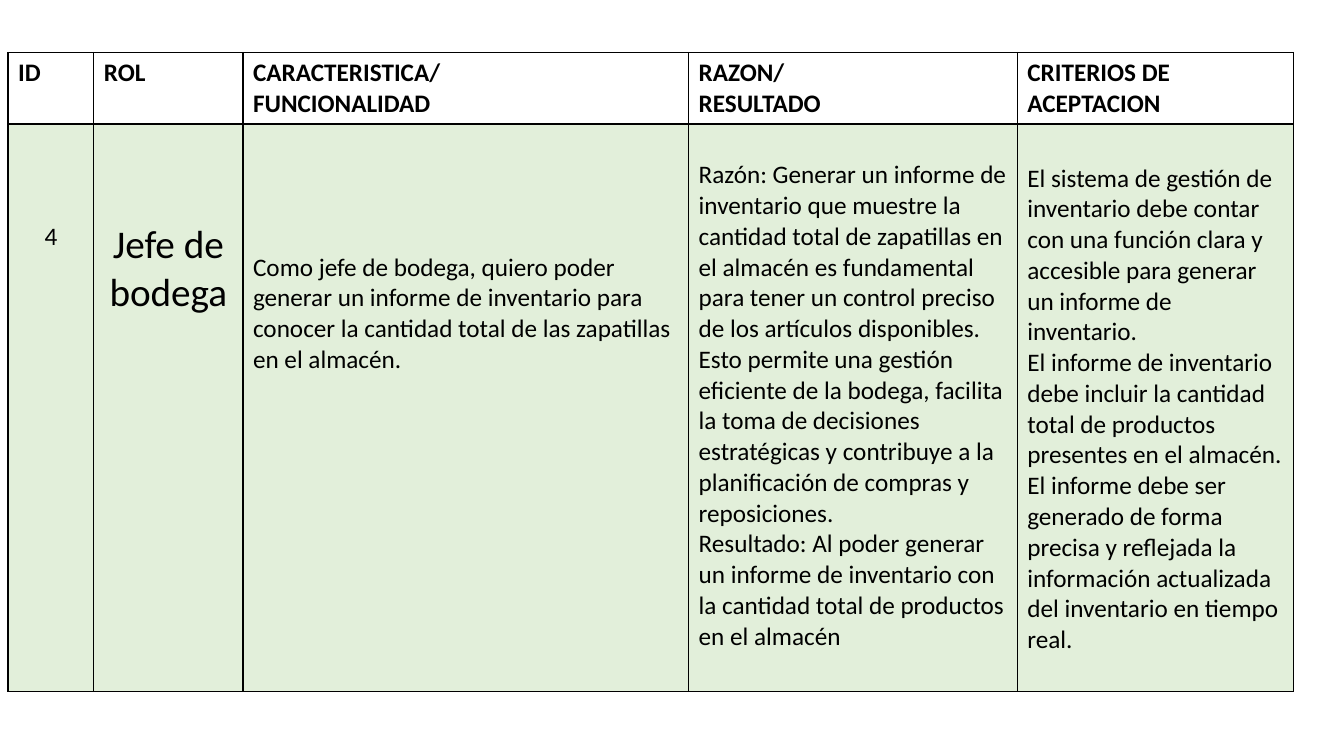
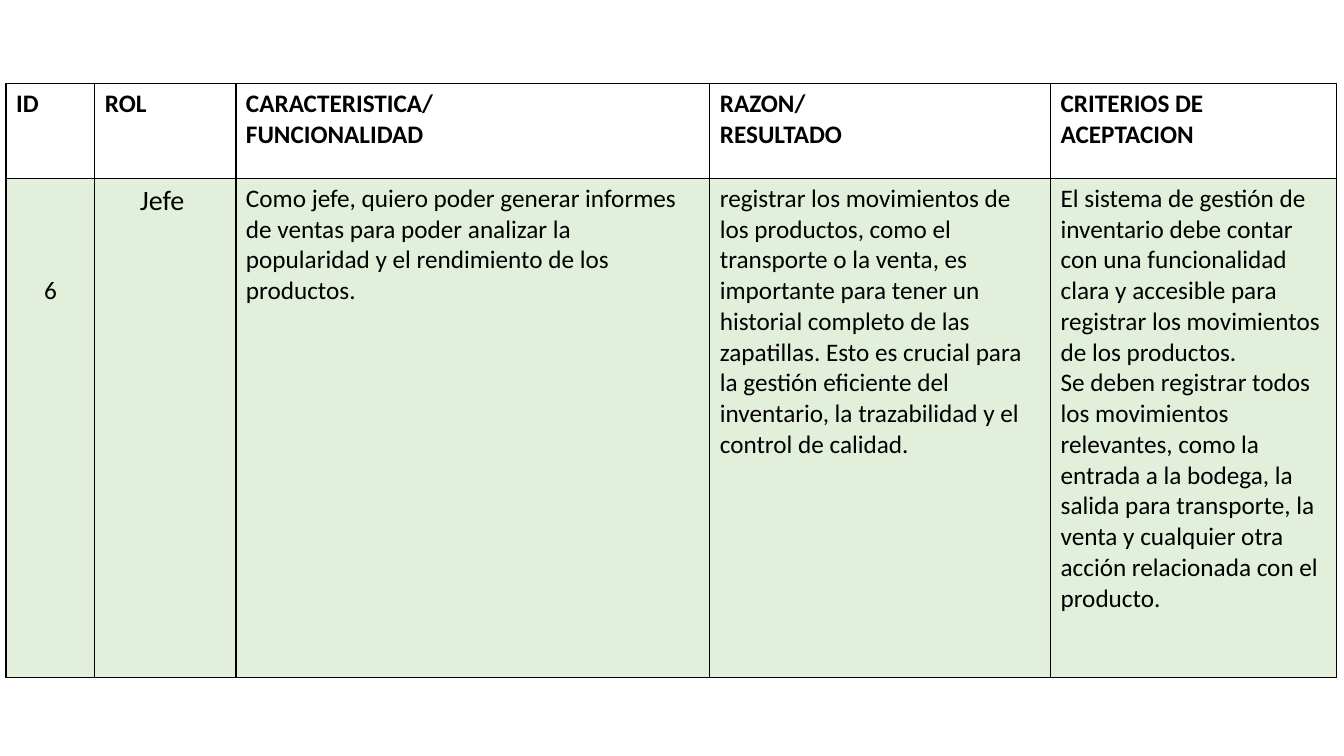
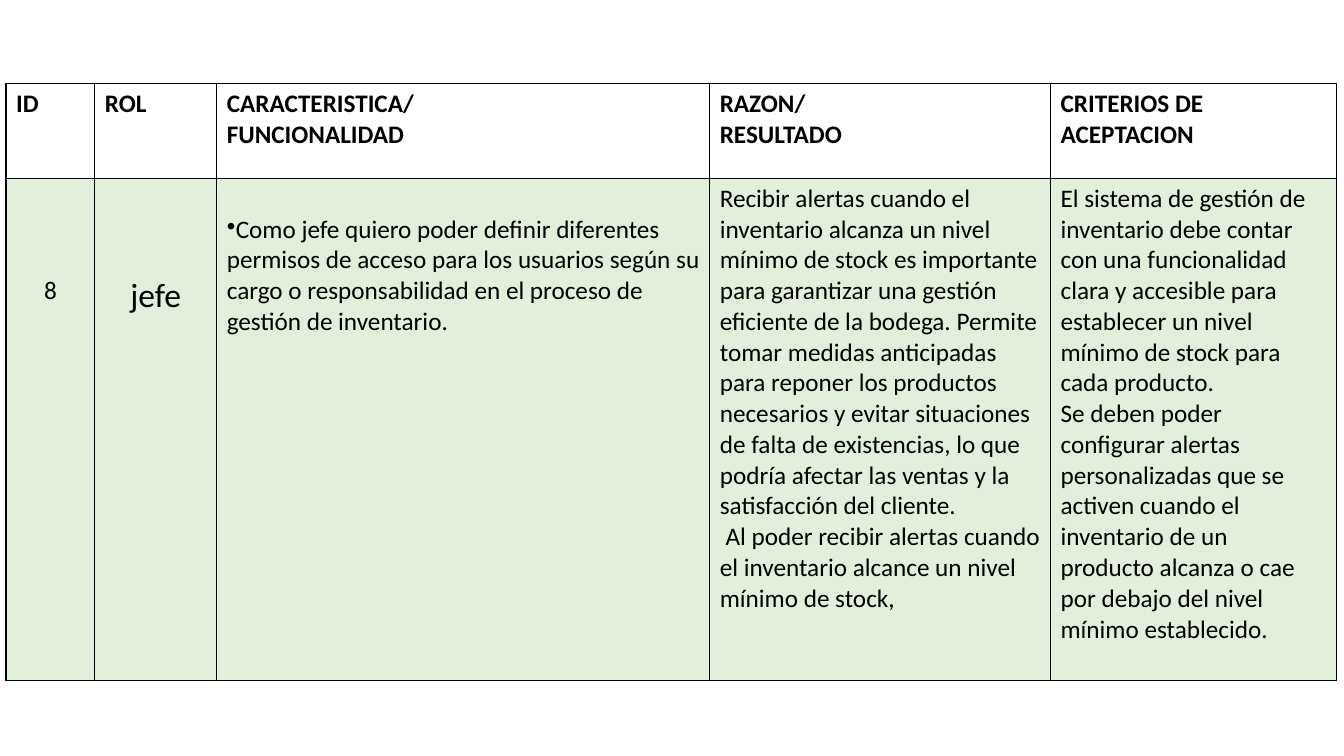
from lxml import etree
from pptx import Presentation
from pptx.dml.color import RGBColor
from pptx.enum.text import PP_ALIGN as Align
from pptx.oxml.ns import qn
from pptx.util import Inches, Pt

# Shared style
FONT = "Calibri"
BLACK = "000000"
HEADER_FILL = "FFFFFF"
STORY_FILL = "E2EFDA"
TEXT_SIZE = 18
CELL_MARGIN = 0.05
LINE_HEIGHT = 0.305  # one line of body text, in inches
CENTERED_COLUMNS = (0, 1)

HEADERS = [
    ["ID"],
    ["ROL"],
    ["CARACTERISTICA/", "FUNCIONALIDAD"],
    ["RAZON/", "RESULTADO"],
    ["CRITERIOS DE ACEPTACION"],
]

# Each cell: its paragraphs, then its format; "drop" lowers the text by lines
STORIES = [
    {
        "left": 0.08, "top": 0.52,
        "columns": [0.85, 1.48, 4.42, 3.26, 2.74],
        "rows": [0.71, 5.63],
        "cells": [
            (["4"], {"drop": 3}),
            (["Jefe de bodega"], {"drop": 3, "size": 28}),
            (["Como jefe de bodega, quiero poder generar un informe de inventario "
              "para conocer la cantidad total de las zapatillas en el almacén."],
             {"drop": 4}),
            (["Razón: Generar un informe de inventario que muestre la cantidad total "
              "de zapatillas en el almacén es fundamental para tener un control "
              "preciso de los artículos disponibles. Esto permite una gestión "
              "eficiente de la bodega, facilita la toma de decisiones estratégicas "
              "y contribuye a la planificación de compras y reposiciones.",
              "Resultado: Al poder generar un informe de inventario con la cantidad "
              "total de productos en el almacén"],
             {"drop": 1}),
            (["El sistema de gestión de inventario debe contar con una función clara "
              "y accesible para generar un informe de inventario.",
              "El informe de inventario debe incluir la cantidad total de productos "
              "presentes en el almacén.",
              "El informe debe ser generado de forma precisa y reflejada la "
              "información actualizada del inventario en tiempo real."],
             {"drop": 1.11}),
        ],
    },
    {
        "left": 0.06, "top": 0.83,
        "columns": [0.88, 1.4, 4.7, 3.38, 2.84],
        "rows": [0.94, 4.95],
        "cells": [
            (["6"], {"drop": 3}),
            (["Jefe "], {"size": 20}),
            (["Como jefe, quiero poder generar informes de ventas para poder "
              "analizar la popularidad y el rendimiento de los productos."], {}),
            (["registrar los movimientos de los productos, como el transporte o la "
              "venta, es importante para tener un historial completo de las "
              "zapatillas. Esto es crucial para la gestión eficiente del "
              "inventario, la trazabilidad y el control de calidad."], {}),
            (["El sistema de gestión de inventario debe contar con una funcionalidad "
              "clara y accesible para registrar los movimientos de los productos.",
              "Se deben registrar todos los movimientos relevantes, como la entrada "
              "a la bodega, la salida para transporte, la venta y cualquier otra "
              "acción relacionada con el producto."], {}),
        ],
    },
    {
        "left": 0.06, "top": 0.83,
        "columns": [0.88, 1.21, 4.89, 3.38, 2.84],
        "rows": [0.94, 4.98],
        "cells": [
            (["8"], {"drop": 3}),
            (["jefe"], {"drop": 3, "size": 24}),
            (["Como jefe quiero poder definir diferentes permisos de acceso para los "
              "usuarios según su cargo o responsabilidad en el proceso de gestión "
              "de inventario."], {"drop": 1, "bullet": "•"}),
            (["Recibir alertas cuando el inventario alcanza un nivel mínimo de stock "
              "es importante para garantizar una gestión eficiente de la bodega. "
              "Permite tomar medidas anticipadas para reponer los productos "
              "necesarios y evitar situaciones de falta de existencias, lo que "
              "podría afectar las ventas y la satisfacción del cliente.",
              " Al poder recibir alertas cuando el inventario alcance un nivel "
              "mínimo de stock,"], {}),
            (["El sistema de gestión de inventario debe contar con una funcionalidad "
              "clara y accesible para establecer un nivel mínimo de stock para cada "
              "producto.",
              "Se deben poder configurar alertas personalizadas que se activen "
              "cuando el inventario de un producto alcanza o cae por debajo del "
              "nivel mínimo establecido."], {}),
        ],
    },
]


def color(value):
    return RGBColor.from_string(value)


def write_text(cell, lines, size=TEXT_SIZE, bold=False, align=Align.LEFT,
               drop=0, bullet=None):
    cell.margin_top = Inches(CELL_MARGIN + drop * LINE_HEIGHT)
    frame = cell.text_frame
    for index, line in enumerate(lines):
        paragraph = frame.add_paragraph() if index else frame.paragraphs[0]
        paragraph.alignment = align
        run = paragraph.add_run()
        run.text = line
        run.font.name = FONT
        run.font.size = Pt(size)
        run.font.bold = bold
        run.font.color.rgb = color(BLACK)
        if bullet:
            properties = paragraph._p.get_or_add_pPr()
            properties.set("marL", "0")
            properties.set("indent", "0")
            etree.SubElement(properties, qn("a:buChar"), char=bullet)


def style_cell(cell, fill):
    # Borders come before the fill in the cell properties
    properties = cell._tc.get_or_add_tcPr()
    for side in ("lnL", "lnR", "lnT", "lnB"):
        line = etree.SubElement(properties, qn("a:" + side), w=str(Pt(1)))
        solid = etree.SubElement(line, qn("a:solidFill"))
        etree.SubElement(solid, qn("a:srgbClr"), val=BLACK)
    cell.fill.solid()
    cell.fill.fore_color.rgb = color(fill)


def add_story(presentation, story):
    slide = presentation.slides.add_slide(presentation.slide_layouts[6])
    columns, rows = story["columns"], story["rows"]
    table = slide.shapes.add_table(
        len(rows), len(columns), Inches(story["left"]), Inches(story["top"]),
        Inches(sum(columns)), Inches(sum(rows))).table
    table.first_row = table.horz_banding = False
    for row, height in zip(table.rows, rows):
        row.height = Inches(height)
    for index, width in enumerate(columns):
        table.columns[index].width = Inches(width)
        # Header cell
        header = table.cell(0, index)
        style_cell(header, HEADER_FILL)
        write_text(header, HEADERS[index], bold=True)
        # Story cell
        body = table.cell(1, index)
        lines, text_format = story["cells"][index]
        align = Align.CENTER if index in CENTERED_COLUMNS else Align.LEFT
        style_cell(body, STORY_FILL)
        write_text(body, lines, align=align, **text_format)


def main():
    presentation = Presentation()
    presentation.slide_width = Inches(13.33)
    presentation.slide_height = Inches(7.5)
    for story in STORIES:
        add_story(presentation, story)
    presentation.save("out.pptx")


if __name__ == "__main__":
    main()
